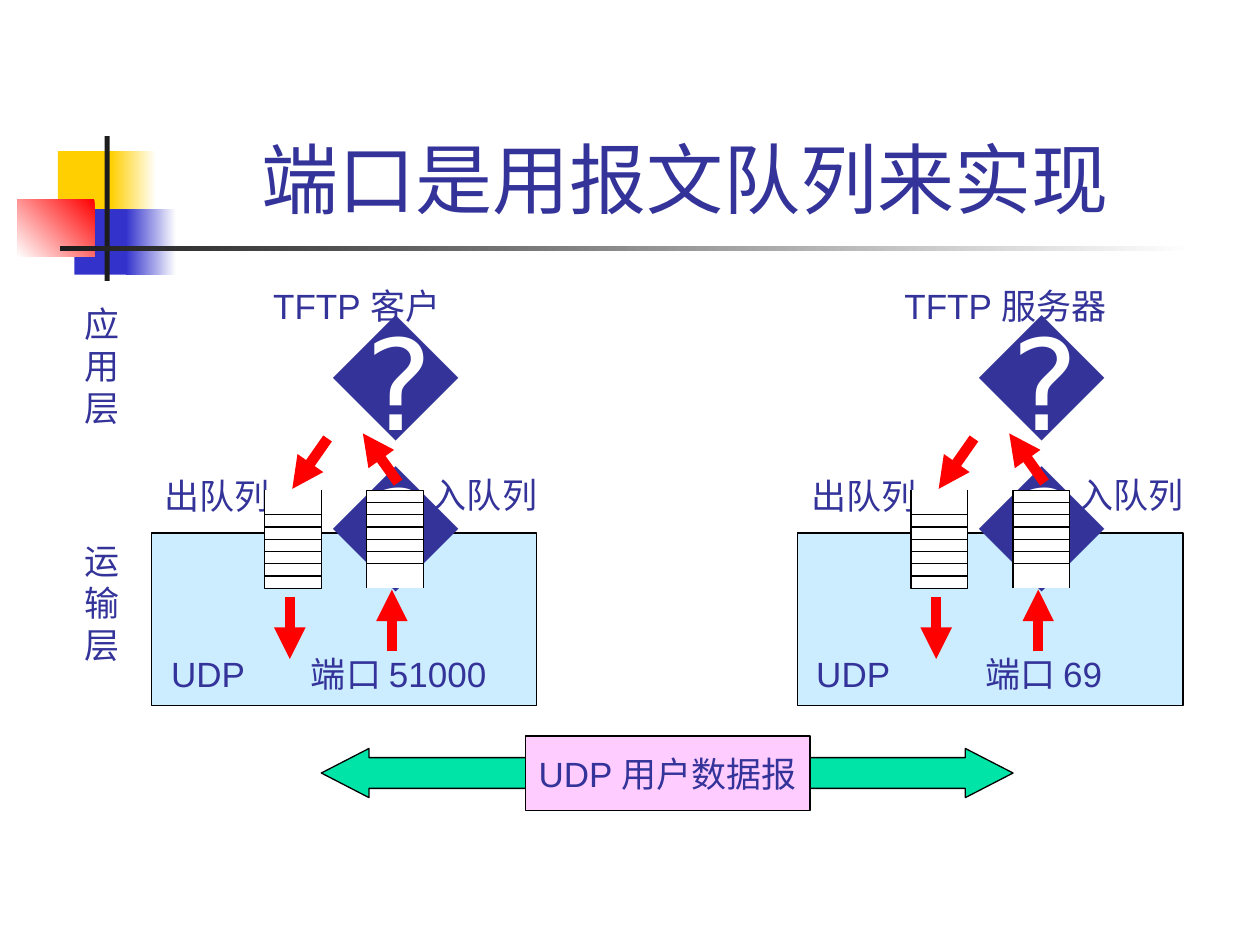
import pptx
import pptx.util
import pptx.dml.color
import pptx.enum.shapes
import pptx.enum.text
import pptx.oxml.ns
import lxml.etree

INK, BLACK, RED, SKY = "333399", "000000", "FF0000", "CCECFF"
SHIFT = 5.13
SIDES = [
    (0, (2.07, 1.59, "TFTP 客户"), (1.26, 2.78, "UDP\t端口 51000", 1.11)),
    (SHIFT, (7.08, 1.87, "TFTP 服务器"), (6.38, 2.54, "UDP\t端口 69", 1.34)),
]
NAMES = [(1.21, 3.72, "出队列"), (3.33, 3.71, "入队列")]
LAYERS = [(2.35, "应用层"), (4.23, "运输层")]
QUEUES = [(2.1, False), (2.91, True)]
ARROWS = [
    (2.3, 4.74, 2.3, 5.23), (3.11, 5.17, 3.11, 4.68),
    (2.6, 3.48, 2.32, 3.88), (3.16, 3.83, 2.88, 3.44),
]
DECOR = [
    (0.46, 1.2, 0.48, 0.52, ["FFCF01"], 0),
    (0.88, 1.2, 0.36, 0.52, ["FFFFFF", "FFCF01"], 180),
    (0.59, 1.66, 0.46, 0.52, ["3333CC"], 0),
    (1, 1.66, 0.4, 0.52, ["FFFFFF", "3333CC"], 180),
    (0.14, 1.58, 0.61, 0.46, [RED, "FFFFFF"], 225),
    (0.83, 1.08, 0.04, 1.15, ["1C1C1C"], 0),
    (0.48, 1.95, 9, 0.04, ["FFFFFF", "1C1C1C"], 180),
]
Q_TOP, Q_WIDE, Q_HIGH, ROWS = 3.89, 0.45, 0.78, 8

SHAPE = pptx.enum.shapes.MSO_SHAPE
ALIGN = pptx.enum.text.PP_ALIGN
ANCHOR = pptx.enum.text.MSO_ANCHOR
inch = pptx.util.Inches
qn = pptx.oxml.ns.qn

deck = pptx.Presentation()
deck.slide_width, deck.slide_height = inch(10), inch(7.5)
slide = deck.slides.add_slide(deck.slide_layouts[6])
root = slide.shapes


def rgb(code):
    return pptx.dml.color.RGBColor.from_string(code)


def paint(shape, colors, edge=None, angle=0):
    shape.shadow.inherit = False
    if len(colors) == 1:
        shape.fill.solid()
        shape.fill.fore_color.rgb = rgb(colors[0])
    else:
        shape.fill.gradient()
        shape.fill.gradient_angle = angle
        for stop, code in zip(shape.fill.gradient_stops, colors):
            stop.color.rgb = rgb(code)
    if edge:
        shape.line.color.rgb = rgb(edge)
        shape.line.width = pptx.util.Pt(0.75)
    else:
        shape.line.fill.background()
    return shape


def block(kind, x, y, w, h, colors, edge=None, angle=0):
    shape = root.add_shape(kind, inch(x), inch(y), inch(w), inch(h))
    return paint(shape, colors, edge, angle)


def write(shape, lines, size=20, align=ALIGN.LEFT, anchor=ANCHOR.TOP, wrap=False):
    frame = shape.text_frame
    frame.word_wrap = wrap
    frame.vertical_anchor = anchor
    frame.text = "\n".join(lines)
    for par in frame.paragraphs:
        par.alignment = align
        par.font.size = pptx.util.Pt(size)
        par.font.name = "Arial"
        par.font.color.rgb = rgb(INK)
    return frame


def label(x, y, w, h, lines, **style):
    return write(root.add_textbox(inch(x), inch(y), inch(w), inch(h)), lines, **style)


def tab(frame, pos):
    props = frame.paragraphs[0]._p.get_or_add_pPr()
    stops = lxml.etree.Element(qn("a:tabLst"))
    lxml.etree.SubElement(stops, qn("a:tab"), pos=str(inch(pos)), algn="l")
    props.insert_element_before(stops, "a:defRPr", "a:extLst")


def line(home, ends, color, width, head=False):
    rule = home.add_connector(
        pptx.enum.shapes.MSO_CONNECTOR.STRAIGHT, *[inch(v) for v in ends])
    rule.line.color.rgb = rgb(color)
    rule.line.width = pptx.util.Pt(width)
    if head:
        lxml.etree.SubElement(rule.line._get_or_add_ln(), qn("a:tailEnd"), type="triangle")
    lxml.etree.SubElement(rule._element.spPr, qn("a:effectLst"))


def queue(x, inward):
    home = root.add_group_shape().shapes
    top, end = Q_TOP, Q_TOP + Q_HIGH
    if inward:
        top, end = end, top
    pen = home.build_freeform(inch(x), inch(top), scale=1.0)
    pen.add_line_segments(
        [(inch(x), inch(end)), (inch(x + Q_WIDE), inch(end)), (inch(x + Q_WIDE), inch(top))],
        close=False)
    paint(pen.convert_to_shape(), ["FFFFFF"], BLACK)
    first = 1 if inward else 2
    for row in range(first, first + 6):
        y = Q_TOP + row * Q_HIGH / ROWS
        line(home, (x, y, x + Q_WIDE, y), BLACK, 0.75)


for x, y, w, h, colors, angle in DECOR:
    block(SHAPE.RECTANGLE, x, y, w, h, colors, angle=angle)
label(1.18, 0.23, 8.52, 1.6, ["端口是用报文队列来实现"], size=44,
      align=ALIGN.CENTER, anchor=ANCHOR.BOTTOM, wrap=True)

for dx, host, (x, w, text, stop) in SIDES:
    block(SHAPE.RECTANGLE, 1.2 + dx, 4.23, 3.06, 1.37, [SKY], BLACK)
    port = block(SHAPE.RECTANGLE, x, 5.13, w, 0.44, [SKY])
    tab(write(port, [text]), stop)
    label(2.53 + dx, 2.37, 0.56, 1.3, ["📄"], size=72, wrap=True)
    for left, top, name in NAMES:
        label(left + dx, top, 1.1, 0.44, [name])
    for left, inward in QUEUES:
        queue(left + dx, inward)
    for x1, y1, x2, y2 in ARROWS:
        line(root, (x1 + dx, y1, x2 + dx, y2), RED, 6, head=True)
    x, w, text = host
    label(x, 2.21, w, 0.44, [text])

link = block(SHAPE.LEFT_RIGHT_ARROW, 2.55, 5.94, 5.49, 0.39, ["00E4A8"], BLACK)
link.adjustments[0], link.adjustments[1] = 0.625, 0.97
data = block(SHAPE.RECTANGLE, 4.17, 5.84, 2.26, 0.59, ["FFCCFF"], BLACK)
write(data, ["UDP 用户数据报"], align=ALIGN.CENTER, anchor=ANCHOR.MIDDLE)
for y, name in LAYERS:
    label(0.57, y, 0.48, 1.1, list(name))

deck.save("out.pptx")
